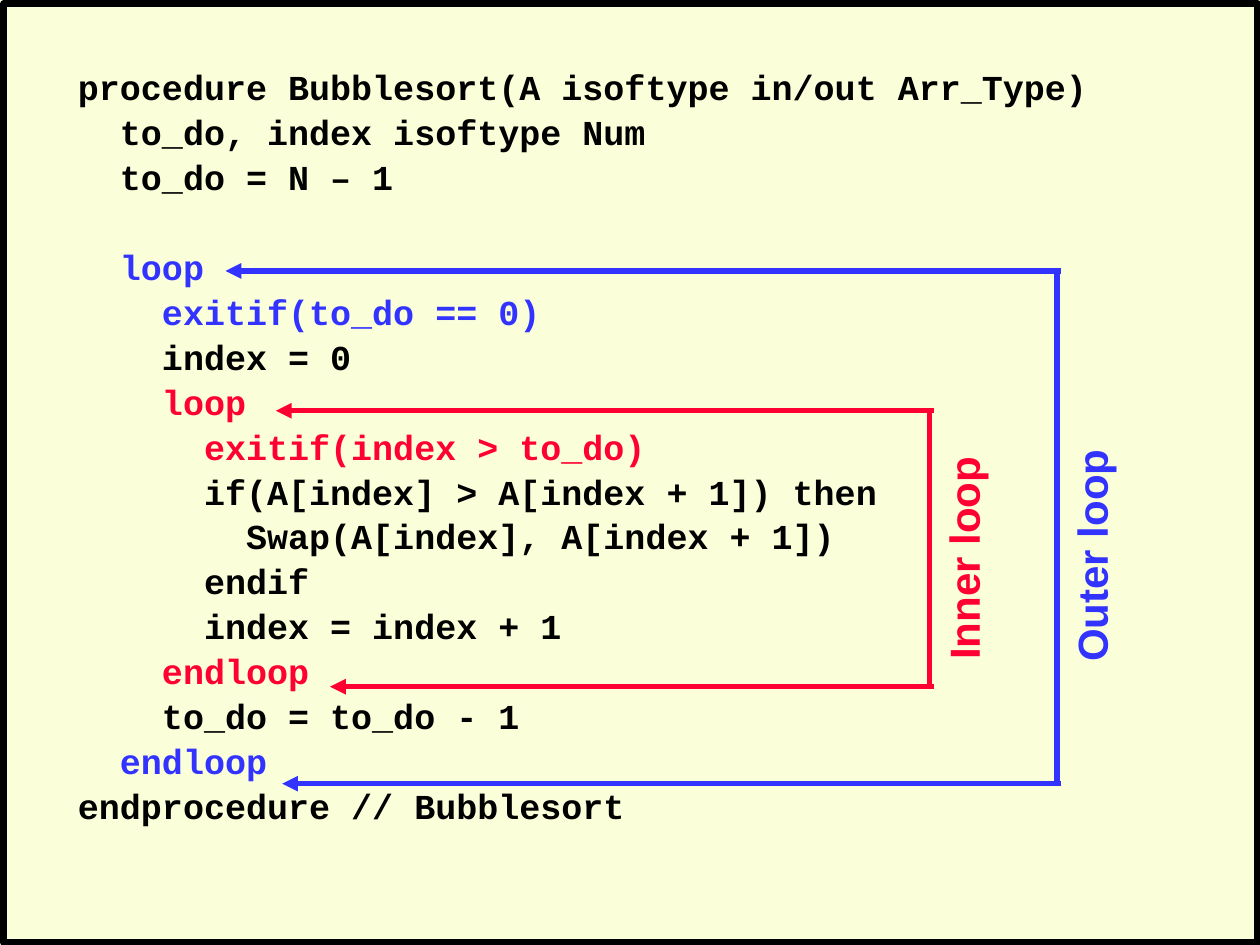
"""Build a slide of Bubblesort pseudocode with its inner and outer loops marked."""
from lxml import etree
from pptx import Presentation
from pptx import util as u
from pptx.dml.color import RGBColor
from pptx.enum import shapes, text
from pptx.oxml.ns import qn

BLACK, BLUE, RED = "000000", "3333FF", "FF0033"


def add_run(p, content, font="Courier New", size=20, color=BLACK):
    r = p.add_run()
    r.text = content
    r.font.name = font
    r.font.size = u.Pt(size)
    r.font.bold = True
    r.font.color.rgb = RGBColor.from_string(color)


def add_line(s, x1, y1, x2, y2, color, arrow=False):
    line = s.shapes.add_connector(shapes.MSO_CONNECTOR.STRAIGHT, *map(u.Inches, (x1, y1, x2, y2)))
    line.line.color.rgb = RGBColor.from_string(color)
    line.line.width = u.Pt(3)
    if arrow:
        etree.SubElement(line.line._get_or_add_ln(), qn("a:tailEnd"), type="triangle")
    etree.SubElement(line._element.spPr, qn("a:effectLst"))


prs = Presentation()
prs.slide_width, prs.slide_height = u.Inches(10), u.Inches(7.5)
s = prs.slides.add_slide(prs.slide_layouts[6])
s.background.fill.solid()
s.background.fill.fore_color.rgb = RGBColor.from_string("FAFFD9")

frame = s.shapes.add_shape(shapes.MSO_SHAPE.RECTANGLE, *map(u.Inches, (0.03, 0.03, 9.95, 7.45)))
frame.shadow.inherit = False
frame.fill.background()
frame.line.color.rgb = RGBColor.from_string(BLACK)
frame.line.width = u.Pt(3.75)

GAP, BLOCK_GAP = 4.1, 29.7
code = [
    ("procedure Bubblesort(A isoftype in/out Arr_Type)", BLACK, 0),
    ("  to_do, index isoftype Num", BLACK, GAP),
    ("  to_do = N – 1", BLACK, GAP),
    ("  loop", BLUE, BLOCK_GAP),
    ("    exitif(to_do == 0)", BLUE, GAP),
    ("    index = 0", BLACK, GAP),
    ("    loop", RED, GAP),
    ("      exitif(index > to_do)", RED, GAP),
    ("      if(A[index] > A[index + 1]) then", BLACK, GAP),
    ("        Swap(A[index], A[index + 1])", BLACK, GAP),
    ("      endif", BLACK, GAP),
    ("      index = index + 1", BLACK, GAP),
    ("    endloop", RED, GAP),
    ("    to_do = to_do - 1", BLACK, GAP),
    ("  endloop", BLUE, GAP),
    ("endprocedure // Bubblesort", BLACK, GAP),
]
listing = s.shapes.add_textbox(*map(u.Inches, (0.52, 0.51, 9.02, 6.33)))
tf = listing.text_frame
tf.word_wrap = True
for i, (content, color, gap) in enumerate(code):
    p = tf.paragraphs[0] if i == 0 else tf.add_paragraph()
    p.line_spacing = 0.9
    p.space_before = u.Pt(gap)
    add_run(p, content, color=color)

loops = [
    ("Inner loop", RED, 7.38, 3.26, 5.45, 2.19, 2.62, (6.74, 4.18, 1.81, 0.5)),
    ("Outer loop", BLUE, 8.39, 2.15, 6.22, 1.79, 2.24, (7.7, 4.14, 1.92, 0.5)),
]
for name, color, x, top, bottom, start_x, end_x, box in loops:
    add_line(s, x + 0.03, top, start_x, top, color, arrow=True)
    add_line(s, x + 0.03, bottom, end_x, bottom, color, arrow=True)
    add_line(s, x, top, x, bottom, color)
    label = s.shapes.add_textbox(*map(u.Inches, box))
    label.rotation = 270
    tf = label.text_frame
    tf.word_wrap = False
    tf.auto_size = text.MSO_AUTO_SIZE.SHAPE_TO_FIT_TEXT
    add_run(tf.paragraphs[0], name, font="Arial", size=24, color=color)

prs.save("out.pptx")
